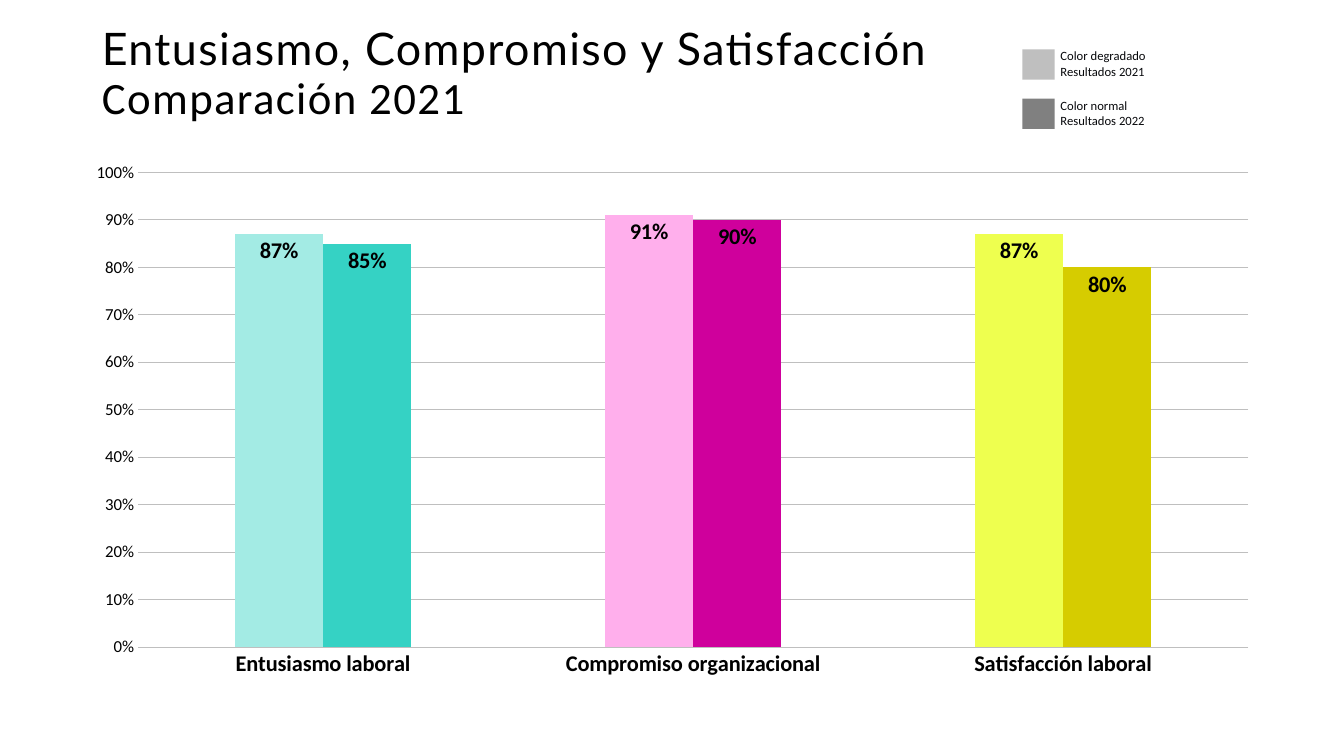
from lxml.etree import SubElement
from pptx import Presentation
from pptx.chart.data import CategoryChartData
from pptx.dml.color import RGBColor
from pptx.enum.chart import XL_CHART_TYPE, XL_LABEL_POSITION, XL_TICK_MARK
from pptx.enum.shapes import MSO_SHAPE
from pptx.enum.text import MSO_ANCHOR, PP_ALIGN
from pptx.oxml.ns import qn
from pptx.util import Inches, Pt

RESULTS = {
    "Resultados 2021": ((0.87, 0.91, 0.87), ("A3EBE4", "FFAFEC", "EEFF4F")),
    "Resultados 2022": ((0.85, 0.9, 0.8), ("35D2C4", "CF009C", "D6CC00")),
}
DIMENSIONS = ("Entusiasmo laboral", "Compromiso organizacional", "Satisfacción laboral")
LEGEND = (
    ("Color degradado", "Resultados 2021", "BFBFBF"),
    ("Color normal", "Resultados 2022", "808080"),
)


def rgb(color):
    return RGBColor.from_string(color)


def style_font(font, size, color="000000", bold=False, name="Calibri"):
    font.name = name
    font.size = Pt(size)
    font.bold = bold
    font.color.rgb = rgb(color)


def add_text(paragraph, text, size, spacing=0, **style):
    """Append a formatted run; spacing is the letter spacing in points."""
    run = paragraph.add_run()
    run.text = text
    style_font(run.font, size, **style)
    if spacing:
        run.font._element.set("spc", str(spacing * 100))


class ResultsSlide:
    grid_color = "BFBFBF"
    legend_color = "07080B"

    def __init__(self, deck):
        self.slide = deck.slides.add_slide(deck.slide_layouts[5])

    def title(self, first_line, second_line, left, top, width, height):
        title = self.slide.shapes.title
        title.left, title.top = Inches(left), Inches(top)
        title.width, title.height = Inches(width), Inches(height)
        frame = title.text_frame
        frame.word_wrap = True
        frame.vertical_anchor = MSO_ANCHOR.TOP
        frame.margin_left = frame.margin_right = 0
        frame.margin_top = frame.margin_bottom = 0
        paragraph = frame.paragraphs[0]
        paragraph.alignment = PP_ALIGN.LEFT
        paragraph.line_spacing = 0.9
        add_text(paragraph, first_line, 32, spacing=1, name="Lato")
        paragraph.add_line_break()
        add_text(paragraph, second_line, 32, spacing=1)

    def legend_entry(self, lines, color, left, top):
        swatch = self.slide.shapes.add_shape(
            MSO_SHAPE.RECTANGLE, Inches(left), Inches(top), Inches(0.32), Inches(0.3))
        swatch.shadow.inherit = False
        swatch.fill.solid()
        swatch.fill.fore_color.rgb = rgb(color)
        swatch.line.fill.background()
        label = self.slide.shapes.add_textbox(
            Inches(left + 0.28), Inches(top - 0.06), Inches(2.2), Inches(0.4))
        frame = label.text_frame
        frame.word_wrap = True
        for index, line in enumerate(lines):
            paragraph = frame.add_paragraph() if index else frame.paragraphs[0]
            add_text(paragraph, line, 9, color=self.legend_color)

    def comparison_chart(self, left, top, width, height, plot_area):
        data = CategoryChartData(number_format="0%")
        data.categories = DIMENSIONS
        for name, (values, _) in RESULTS.items():
            data.add_series(name, values)
        chart = self.slide.shapes.add_chart(
            XL_CHART_TYPE.COLUMN_CLUSTERED, Inches(left), Inches(top),
            Inches(width), Inches(height), data).chart
        chart.has_legend = chart.has_title = False
        style_font(chart.font, 10)
        self.format_axes(chart)

        plot = chart.plots[0]
        plot.gap_width, plot.overlap = 219, 0
        plot.vary_by_categories = False
        for series, (_, colors) in zip(plot.series, RESULTS.values()):
            self.format_series(series, colors)

        plot_left, plot_top, plot_width, plot_height = plot_area
        self.place_plot(chart, {
            "x": (plot_left - left) / width, "y": (plot_top - top) / height,
            "w": plot_width / width, "h": plot_height / height})

    def format_axes(self, chart):
        dimensions, percent = chart.category_axis, chart.value_axis
        for axis in (dimensions, percent):
            axis.major_tick_mark = axis.minor_tick_mark = XL_TICK_MARK.NONE
        style_font(dimensions.tick_labels.font, 16, bold=True)
        dimensions.format.line.color.rgb = rgb(self.grid_color)
        dimensions.format.line.width = Pt(0.75)

        style_font(percent.tick_labels.font, 12)
        percent.tick_labels.number_format = "0%"
        percent.tick_labels.number_format_is_linked = False
        percent.minimum_scale, percent.maximum_scale, percent.major_unit = 0, 1, 0.1
        percent.format.line.fill.background()
        percent.has_major_gridlines = True
        grid = percent.major_gridlines.format.line
        grid.color.rgb = rgb(self.grid_color)
        grid.width = Pt(0.5)

    def format_series(self, series, colors):
        series.format.fill.solid()
        series.format.fill.fore_color.rgb = rgb(colors[0])
        for index, color in enumerate(colors):
            fill = series.points[index].format.fill
            fill.solid()
            fill.fore_color.rgb = rgb(color)
        labels = series.data_labels
        labels.show_value = True
        labels.position = XL_LABEL_POSITION.INSIDE_END
        labels.number_format = "0%"
        labels.number_format_is_linked = False
        style_font(labels.font, 16, bold=True)

    def place_plot(self, chart, fractions):
        """Fix the inner plot area, given as fractions of the chart."""
        plot_area = chart._chartSpace.chart.plotArea
        layout = plot_area.find(qn("c:layout"))
        if layout is None:
            layout = SubElement(plot_area, qn("c:layout"))
            plot_area.insert(0, layout)
        manual = SubElement(layout, qn("c:manualLayout"))
        settings = {"layoutTarget": "inner", "xMode": "edge", "yMode": "edge", **fractions}
        for tag, value in settings.items():
            SubElement(manual, qn(f"c:{tag}")).set("val", str(value))


def main():
    deck = Presentation()
    deck.slide_width, deck.slide_height = Inches(13.33), Inches(7.5)
    page = ResultsSlide(deck)
    page.title("Entusiasmo, Compromiso y Satisfacción", "Comparación 2021",
               1.01, 0.27, 8.56, 1.06)
    for index, (shade, year, color) in enumerate(LEGEND):
        page.legend_entry((shade, year), color, 10.14, 0.49 + 0.49 * index)
    page.comparison_chart(0.72, 1.5, 11.9, 5.34, plot_area=(1.37, 1.71, 11.01, 4.71))
    deck.save("out.pptx")


if __name__ == "__main__":
    main()
